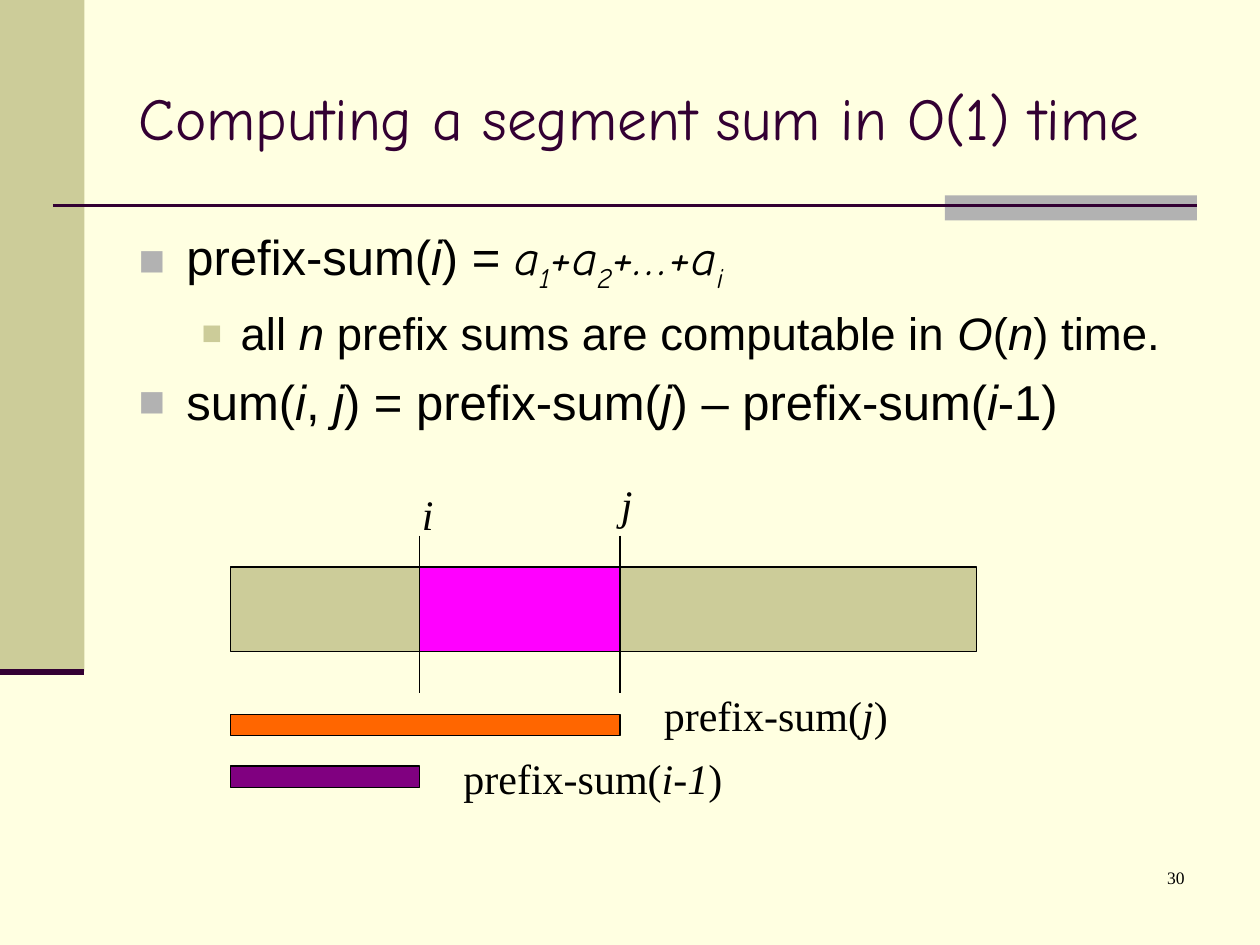
from lxml import etree
from pptx import Presentation
from pptx.dml.color import RGBColor
from pptx.enum.shapes import MSO_CONNECTOR as Connector, MSO_SHAPE as Shape
from pptx.enum.text import MSO_ANCHOR as Anchor, MSO_AUTO_SIZE as AutoSize, PP_ALIGN as Align
from pptx.oxml.ns import qn
from pptx.util import Inches, Pt

CREAM, KHAKI, GRAY, PLUM = "FFFFE1", "CCCC99", "B2B2B2", "330033"
BLACK, MAGENTA, ORANGE, PURPLE = "000000", "FF00FF", "FF6600", "800080"
SANS, SERIF, COMIC = "Arial", "Times New Roman", "Comic Neue"

ARRAY_LEFT, I_X, J_X, ARRAY_RIGHT = 1.83, 3.33, 4.92, 7.75
ARRAY_TOP, ARRAY_HEIGHT, PREFIX_HEIGHT = 4.5, 0.67, 0.17
TICK_TOP, TICK_BOTTOM = 4.25, 5.5

LEVELS = [
    {"size": 28, "before": 7, "left": 0.38, "hanging": 0.38, "color": GRAY, "percent": 90},
    {"size": 26, "before": 6.5, "left": 0.81, "hanging": 0.31, "color": KHAKI, "percent": 75},
]


def rgb(value):
    return RGBColor.from_string(value)


def add_runs(paragraph, text, size, name, color=BLACK):
    """Write text in which *stars* enclose italics and _underscores_ enclose
    subscripts of an italic formula between ^carets^ set in the comic font."""
    italic = formula = subscript = False
    piece = ""
    for character in text + "\0":
        if character not in "*^_\0":
            piece += character
            continue
        if piece:
            run = paragraph.add_run()
            run.text = piece
            values = {"size": Pt(size), "name": COMIC if formula else name,
                      "italic": italic or formula}
            for attribute, value in values.items():
                setattr(run.font, attribute, value)
            run.font.color.rgb = rgb(color)
            if subscript:
                run.font._element.set("baseline", "-25000")
            piece = ""
        italic ^= character == "*"
        formula ^= character == "^"
        subscript ^= character == "_"


def place(shape, left, top, width, height):
    values = {"left": left, "top": top, "width": width, "height": height}
    for attribute, value in values.items():
        setattr(shape, attribute, Inches(value))


def add_bullet(paragraph, text, level):
    style = LEVELS[level]
    paragraph.level = level
    paragraph.space_before = Pt(style["before"])
    properties = paragraph._p.get_or_add_pPr()
    properties.set("marL", str(Inches(style["left"])))
    properties.set("indent", str(-Inches(style["hanging"])))
    color = etree.SubElement(properties, qn("a:buClr"))
    etree.SubElement(color, qn("a:srgbClr"), val=style["color"])
    etree.SubElement(properties, qn("a:buSzPct"), val=str(style["percent"] * 1000))
    etree.SubElement(properties, qn("a:buChar"), char="■")
    add_runs(paragraph, text, style["size"], SANS)


def add_bar(slide, left, top, width, height, fill, outlined=True):
    bar = slide.shapes.add_shape(
        Shape.RECTANGLE, Inches(left), Inches(top), Inches(width), Inches(height))
    bar.shadow.inherit = False
    bar.fill.solid()
    bar.fill.fore_color.rgb = rgb(fill)
    if outlined:
        bar.line.color.rgb = rgb(BLACK)
        bar.line.width = Pt(0.75)
    else:
        bar.line.fill.background()


def add_line(slide, start, end, color=BLACK, width=0.75):
    line = slide.shapes.add_connector(
        Connector.STRAIGHT, *(Inches(value) for value in (*start, *end)))
    line.line.color.rgb = rgb(color)
    line.line.width = Pt(width)
    etree.SubElement(line._element.spPr, qn("a:effectLst"))


def add_label(slide, text, left, top, width, size=24, align=Align.LEFT):
    label = slide.shapes.add_textbox(
        Inches(left), Inches(top), Inches(width), Inches(0.5))
    label.text_frame.word_wrap = True
    paragraph = label.text_frame.paragraphs[0]
    paragraph.alignment = align
    add_runs(paragraph, text, size, SERIF)


def add_decoration(slide):
    add_bar(slide, 0, 0, 0.67, 5.33, KHAKI, outlined=False)
    add_bar(slide, 7.5, 1.55, 2, 0.2, GRAY, outlined=False)
    add_line(slide, (0.42, 1.63), (9.5, 1.63), PLUM, 1.5)
    add_line(slide, (0, 5.33), (0.67, 5.33), PLUM, 3.5)


def fill_title(title, text):
    place(title, 1, 0.3, 8.5, 1.25)
    frame = title.text_frame
    frame.auto_size = AutoSize.NONE
    frame.vertical_anchor = Anchor.MIDDLE
    frame.paragraphs[0].alignment = Align.LEFT
    add_runs(frame.paragraphs[0], text, 34, COMIC, PLUM)


def fill_body(body, items):
    place(body, 1, 1.75, 8.5, 4.95)
    frame = body.text_frame
    frame.auto_size = AutoSize.NONE
    for index, (text, level) in enumerate(items):
        paragraph = frame.add_paragraph() if index else frame.paragraphs[0]
        add_bullet(paragraph, text, level)


def add_segment_diagram(slide):
    add_bar(slide, ARRAY_LEFT, ARRAY_TOP, ARRAY_RIGHT - ARRAY_LEFT, ARRAY_HEIGHT, KHAKI)
    for x in (I_X, J_X):
        add_line(slide, (x, TICK_TOP), (x, TICK_BOTTOM))
    add_bar(slide, I_X, ARRAY_TOP, J_X - I_X, ARRAY_HEIGHT, MAGENTA)
    for right, top, fill in ((J_X, 5.67, ORANGE), (I_X, 6.08, PURPLE)):
        add_bar(slide, ARRAY_LEFT, top, right - ARRAY_LEFT, PREFIX_HEIGHT, fill)

    add_label(slide, "prefix-sum(*j*)", J_X + 0.25, 5.42, 2.08)
    add_label(slide, "*i*", I_X - 0.08, 3.83, 0.42)
    add_label(slide, "*j*", J_X - 0.09, 3.75, 0.33)
    add_label(slide, "prefix-sum(*i-1*)", I_X + 0.25, 5.92, 2.33)


def main():
    presentation = Presentation()
    presentation.slide_width = Inches(10)
    presentation.slide_height = Inches(7.5)
    slide = presentation.slides.add_slide(presentation.slide_layouts[1])
    slide.background.fill.solid()
    slide.background.fill.fore_color.rgb = rgb(CREAM)

    add_decoration(slide)
    add_label(slide, "30", 7.42, 6.83, 2.08, size=10, align=Align.RIGHT)
    fill_title(slide.shapes.title, "Computing a segment sum in O(1) time")
    fill_body(slide.placeholders[1], [
        ("prefix-sum(*i*) = ^a_1_+a_2_+…+a_i_^", 0),
        ("all *n* prefix sums are computable in *O*(*n*) time.", 1),
        ("sum(*i*, *j*) = prefix-sum(*j*) – prefix-sum(*i*-1)", 0),
    ])
    add_segment_diagram(slide)
    presentation.save("out.pptx")


if __name__ == "__main__":
    main()
